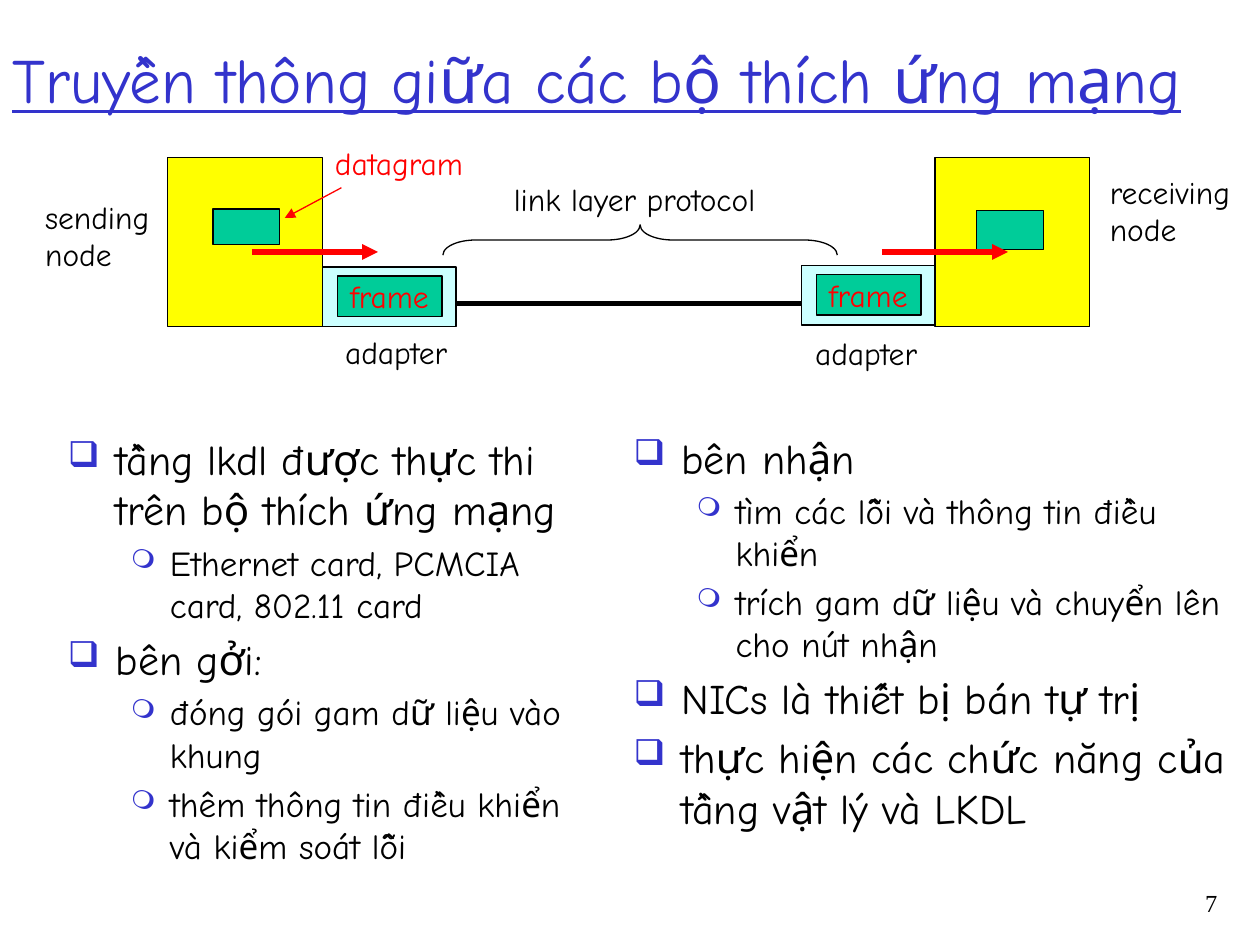
from typing import NamedTuple

from lxml.etree import SubElement
from pptx import Presentation
from pptx.dml.color import RGBColor
from pptx.enum.shapes import MSO_CONNECTOR, MSO_SHAPE
from pptx.enum.text import MSO_ANCHOR, MSO_AUTO_SIZE, PP_ALIGN
from pptx.oxml.ns import qn
from pptx.util import Inches, Pt

FONT = "Comic Neue"
BLACK, RED, BLUE = "000000", "FF0000", "3333CC"
YELLOW, GREEN, CYAN = "FFFF00", "00CC99", "CCFFFF"


class Box(NamedTuple):
    left: float
    top: float
    width: float
    height: float


class Label(NamedTuple):
    box: Box
    lines: list[str]
    color: str = BLACK


class Level(NamedTuple):
    size: int
    margin: float
    hanging: float
    bullet: str
    bullet_percent: int


class Column(NamedTuple):
    box: Box
    items: list[tuple[int, str]]


class Curve(NamedTuple):
    """A start point followed by cubic segments of three points each."""
    points: list[tuple[float, float]]


LEVELS = [Level(24, 0.38, 0.38, "❑", 85), Level(20, 0.81, 0.31, "❍", 75)]

COLUMNS = [
    Column(Box(0.44, 3.39, 4.45, 3.31), [
        (0, "tầng lkdl được thực thi trên bộ thích ứng mạng"),
        (1, "Ethernet card, PCMCIA card, 802.11 card"),
        (0, "bên gởi:"),
        (1, "đóng gói gam dữ liệu vào khung"),
        (1, "thêm thông tin điều khiển và kiểm soát lỗi"),
    ]),
    Column(Box(4.93, 3.38, 5.07, 3.27), [
        (0, "bên nhận"),
        (1, "tìm các lỗi và thông tin điều khiển"),
        (1, "trích gam dữ liệu và chuyển lên cho nút nhận"),
        (0, "NICs là thiết bị bán tự trị"),
        (0, "thực hiện các chức năng của tầng vật lý và LKDL"),
    ]),
]

LABELS = [
    Label(Box(0.26, 1.52, 1.07, 0.7), ["sending", "node"]),
    Label(Box(8.71, 1.32, 1.26, 0.71), ["receiving", "node"]),
    Label(Box(2.56, 1.09, 1.3, 0.4), ["datagram"], RED),
    Label(Box(2.64, 2.59, 1.11, 0.4), ["adapter"]),
    Label(Box(6.37, 2.6, 1.11, 0.4), ["adapter"]),
    Label(Box(3.98, 1.38, 2.3, 0.4), ["link layer protocol"]),
]

ADAPTERS = [(2.56, 2.12), (6.36, 2.11)]
NODES = [Box(1.33, 1.25, 1.23, 1.34), Box(7.42, 1.25, 1.23, 1.34)]
DATAGRAMS = [Box(1.69, 1.66, 0.53, 0.28), Box(7.75, 1.67, 0.53, 0.31)]
CURVES = [
    Curve([(1.94, 1.89), (1.92, 1.99), (1.91, 2.1), (1.94, 2.17),
           (1.96, 2.25), (1.98, 2.32), (2.1, 2.36),
           (2.22, 2.4), (2.57, 2.38), (2.67, 2.39)]),
    Curve([(7.33, 2.35), (7.44, 2.35), (7.55, 2.36), (7.65, 2.35),
           (7.76, 2.33), (7.89, 2.33), (7.96, 2.27),
           (8.02, 2.2), (8.03, 2.03), (8.04, 1.99)]),
]


def rgb(color: str) -> RGBColor:
    return RGBColor.from_string(color)


def inches(values) -> list[Inches]:
    return [Inches(value) for value in values]


def write(paragraph, text: str, size: int, color: str, **extra) -> None:
    run = paragraph.add_run()
    run.text = text
    for name, value in ({"name": FONT, "size": Pt(size)} | extra).items():
        setattr(run.font, name, value)
    run.font.color.rgb = rgb(color)


def add_text_box(slide, box: Box, **settings):
    frame = slide.shapes.add_textbox(*inches(box)).text_frame
    for name, value in ({"word_wrap": True} | settings).items():
        setattr(frame, name, value)
    return frame


def add_label(slide, label: Label) -> None:
    frame = add_text_box(slide, label.box, word_wrap=False,
                         auto_size=MSO_AUTO_SIZE.SHAPE_TO_FIT_TEXT)
    for index, line in enumerate(label.lines):
        paragraph = frame.add_paragraph() if index else frame.paragraphs[0]
        write(paragraph, line, 18, label.color)


def set_bullet(paragraph, level: Level) -> None:
    properties = paragraph._p.get_or_add_pPr()
    properties.set("marL", str(Inches(level.margin)))
    properties.set("indent", str(-Inches(level.hanging)))
    color = SubElement(properties, qn("a:buClr"))
    SubElement(color, qn("a:srgbClr"), val=BLUE)
    SubElement(properties, qn("a:buSzPct"), val=str(level.bullet_percent * 1000))
    SubElement(properties, qn("a:buChar"), char=level.bullet)


def add_column(slide, column: Column) -> None:
    frame = add_text_box(slide, column.box)
    for index, (depth, text) in enumerate(column.items):
        level = LEVELS[depth]
        paragraph = frame.add_paragraph() if index else frame.paragraphs[0]
        paragraph.level = depth
        set_bullet(paragraph, level)
        if index:
            paragraph.space_before = Pt(0.2 * level.size)
        write(paragraph, text, level.size, BLACK)


def add_rectangle(slide, box: Box, color: str):
    shape = slide.shapes.add_shape(MSO_SHAPE.RECTANGLE, *inches(box))
    shape.shadow.inherit = False
    shape.fill.solid()
    shape.fill.fore_color.rgb = rgb(color)
    set_line(shape, BLACK, 0.75)
    return shape


def set_line(shape, color: str, width: float, arrow: bool = False) -> None:
    shape.line.color.rgb = rgb(color)
    shape.line.width = Pt(width)
    if arrow:
        SubElement(shape.line._get_or_add_ln(), qn("a:tailEnd"), type="triangle")


def add_adapter(slide, left: float, top: float) -> None:
    add_rectangle(slide, Box(left, top, 1.06, 0.47), CYAN)
    shape = add_rectangle(slide, Box(left + 0.12, top + 0.07, 0.83, 0.32), GREEN)
    frame = shape.text_frame
    frame.word_wrap = False
    frame.vertical_anchor = MSO_ANCHOR.MIDDLE
    frame.paragraphs[0].alignment = PP_ALIGN.LEFT
    write(frame.paragraphs[0], "frame", 18, RED)


def add_line(slide, ends, color: str, width: float, arrow: bool = False) -> None:
    connector = slide.shapes.add_connector(MSO_CONNECTOR.STRAIGHT, *inches(ends))
    set_line(connector, color, width, arrow)
    SubElement(connector._element.spPr, qn("a:effectLst"))


def add_curve(slide, curve: Curve, steps: int = 12) -> None:
    points = curve.points
    samples = []
    for first in range(0, len(points) - 1, 3):
        for step in range(1, steps + 1):
            t = step / steps
            weights = ((1 - t) ** 3, 3 * t * (1 - t) ** 2, 3 * t * t * (1 - t), t ** 3)
            corners = points[first:first + 4]
            samples.append(tuple(sum(w * p[axis] for w, p in zip(weights, corners))
                                 for axis in (0, 1)))
    builder = slide.shapes.build_freeform(*points[0], scale=Inches(1))
    builder.add_line_segments(samples, close=False)
    shape = builder.convert_to_shape()
    shape.shadow.inherit = False
    shape.fill.background()
    set_line(shape, RED, 3, arrow=True)


def add_brace(slide) -> None:
    brace = slide.shapes.add_shape(MSO_SHAPE.LEFT_BRACE, *inches((4.96, 0.34, 0.24, 3.13)))
    brace.rotation = 90
    brace.adjustments[0] = 1.08
    brace.shadow.inherit = False
    brace.fill.background()
    set_line(brace, BLACK, 0.75)


def main() -> None:
    presentation = Presentation()
    presentation.slide_width, presentation.slide_height = Inches(10), Inches(7.5)
    slide = presentation.slides.add_slide(presentation.slide_layouts[6])

    number = add_text_box(slide, Box(9.08, 7, 0.68, 0.5)).paragraphs[0]
    number.alignment = PP_ALIGN.RIGHT
    write(number, "7", 14, BLACK, name="Times New Roman")
    title = add_text_box(slide, Box(0, 0, 10, 1.25), vertical_anchor=MSO_ANCHOR.MIDDLE)
    write(title.paragraphs[0], "Truyền thông giữa các bộ thích ứng mạng", 36, BLUE,
          underline=True)
    for column in COLUMNS:
        add_column(slide, column)

    add_line(slide, (3.61, 2.41, 6.37, 2.41), BLACK, 3)
    for left, top in ADAPTERS:
        add_adapter(slide, left, top)
    for node, datagram in zip(NODES, DATAGRAMS):
        add_rectangle(slide, node, YELLOW)
        add_rectangle(slide, datagram, GREEN)
    add_line(slide, (2.71, 1.49, 2.26, 1.73), RED, 0.75, arrow=True)
    for label in LABELS:
        add_label(slide, label)
    add_brace(slide)
    for curve in CURVES:
        add_curve(slide, curve)

    presentation.save("out.pptx")


if __name__ == "__main__":
    main()
